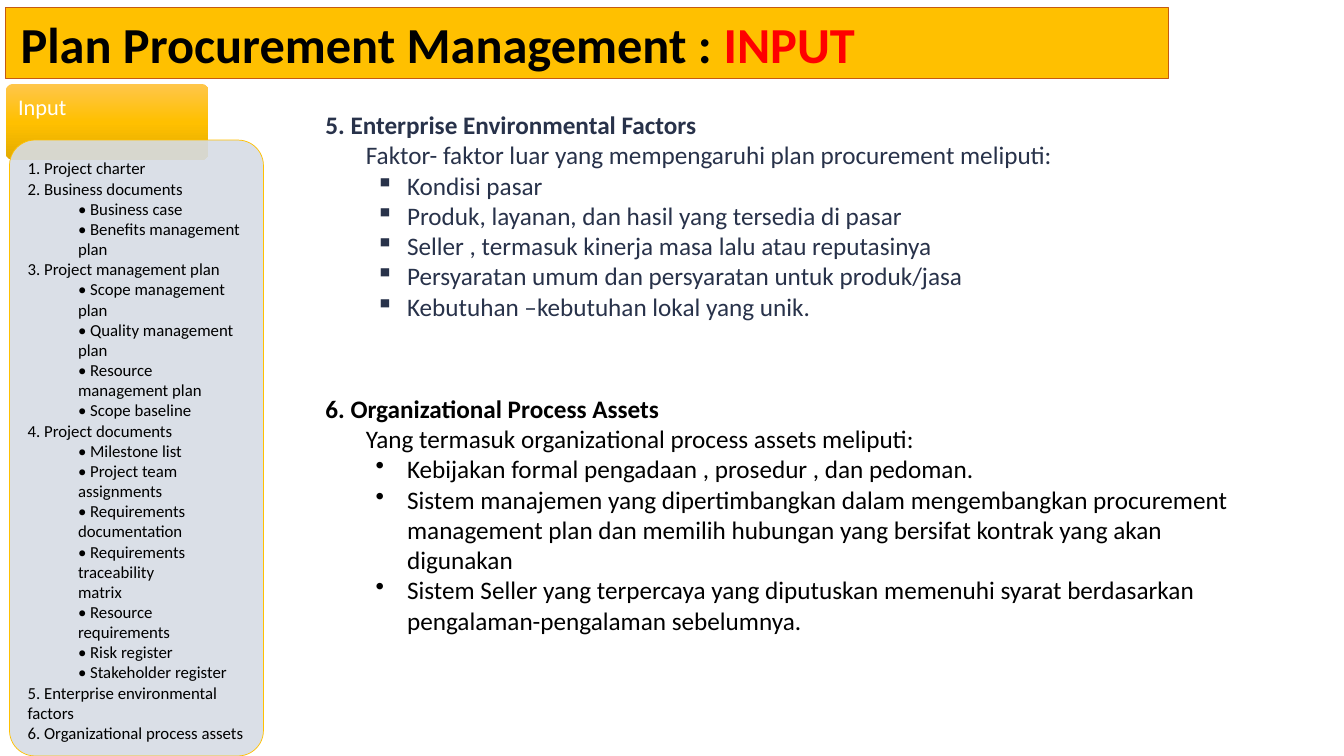
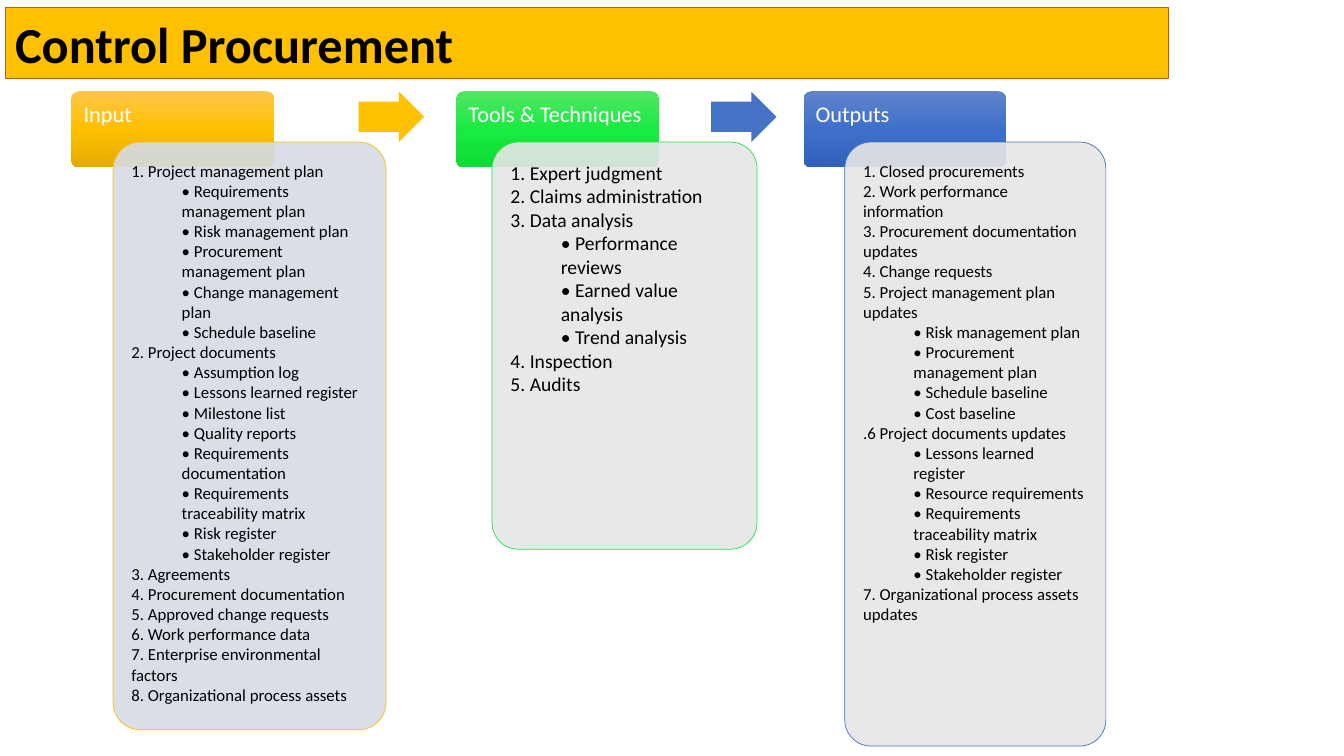
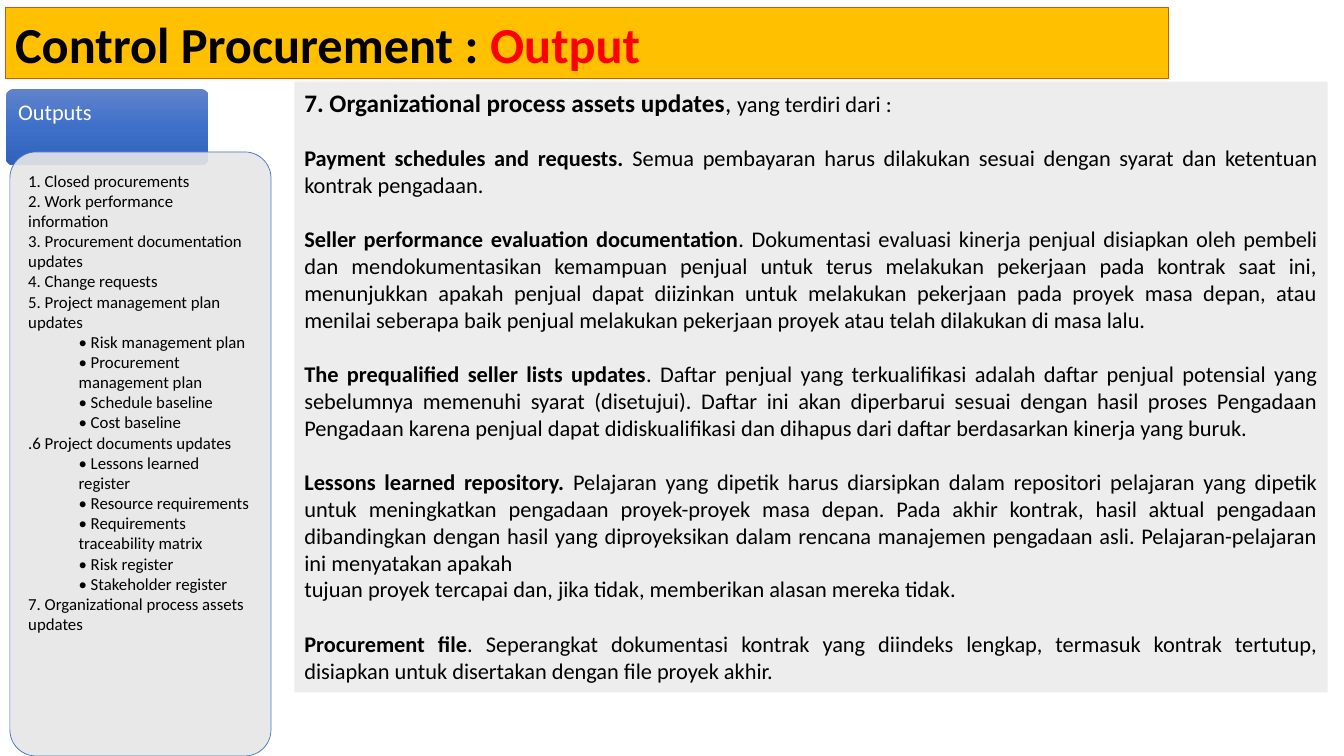
"""Builds three slides on planning and controlling procurement."""
import copy

import pptx
import pptx.dml.color
import pptx.enum.shapes
import pptx.enum.text
import pptx.oxml
import pptx.oxml.ns
import pptx.util

Cm = pptx.util.Cm
Pt = pptx.util.Pt
KIND = pptx.enum.shapes.MSO_SHAPE
ALIGN = pptx.enum.text.PP_ALIGN
ANCHOR = pptx.enum.text.MSO_ANCHOR

FONT = "Calibri"
BLACK, WHITE, RED, NAVY = "000000", "FFFFFF", "FF0000", "28324A"
GOLD, BLUE, RUST, PALE = "FFC000", "4472C4", "C55A11", "EDEDED"
HEAD = (5.11, 1.92)
ARROW = (1.65, 1.27)

STYLES = {
    "Input": {"grad": ("FFC64B", "FFC000", "E3AB00"), "fill": "D6DCE5", "line": GOLD, "size": 12},
    "Tools & Techniques": {"grad": ("51E663", "19EB42", "0CDB34"), "fill": "E7E6E6",
                           "line": "23E148", "size": 14},
    "Outputs": {"grad": ("6183CB", "3E70CA", "3062BB"), "fill": "E7E6E6", "line": BLUE, "size": 12},
}

PLAN_IN = [
    "1. Project charter",
    "2. Business documents",
    "• Business case",
    "• Benefits management plan",
    "3. Project management plan",
    "• Scope management plan",
    "• Quality management plan",
    "• Resource management plan",
    "• Scope baseline",
    "4. Project documents",
    "• Milestone list",
    "• Project team assignments",
    "• Requirements",
    "documentation",
    "• Requirements traceability",
    "matrix",
    "• Resource requirements",
    "• Risk register",
    "• Stakeholder register",
    "5. Enterprise environmental",
    "factors",
    "6. Organizational process assets",
]
CTRL_IN = [
    "1. Project management plan",
    "• Requirements management plan",
    "• Risk management plan",
    "• Procurement management plan",
    "• Change management plan",
    "• Schedule baseline",
    "2. Project documents",
    "• Assumption log",
    "• Lessons learned register",
    "• Milestone list",
    "• Quality reports",
    "• Requirements",
    "documentation",
    "• Requirements traceability matrix",
    "• Risk register",
    "• Stakeholder register",
    "3. Agreements",
    "4. Procurement documentation",
    "5. Approved change requests",
    "6. Work performance data",
    "7. Enterprise environmental",
    "factors",
    "8. Organizational process assets",
]
TOOLS = [
    "1. Expert judgment",
    "2. Claims administration",
    "3. Data analysis",
    "• Performance reviews",
    "• Earned value analysis",
    "• Trend analysis",
    "4. Inspection",
    "5. Audits",
]
CTRL_OUT = [
    "1. Closed procurements",
    "2. Work performance information",
    "3. Procurement documentation",
    "updates",
    "4. Change requests",
    "5. Project management plan",
    "updates",
    "• Risk management plan",
    "• Procurement management plan",
    "• Schedule baseline",
    "• Cost baseline",
    ".6 Project documents updates",
    "• Lessons learned register",
    "• Resource requirements",
    "• Requirements traceability matrix",
    "• Risk register",
    "• Stakeholder register",
    "7. Organizational process assets",
    "updates",
]

TOPICS = [
    {"box": (7.95, 2.51, 24.92, 6.71), "pad": 0.25, "color": NAVY, "mark": "▪",
     "head": "5. Enterprise Environmental Factors",
     "lead": "Faktor- faktor luar yang mempengaruhi plan procurement meliputi:",
     "items": [
         "Kondisi pasar",
         "Produk, layanan, dan hasil yang tersedia di pasar",
         "Seller , termasuk kinerja masa lalu atau reputasinya",
         "Persyaratan umum dan persyaratan untuk produk/jasa",
         "Kebutuhan –kebutuhan lokal yang unik.",
     ]},
    {"box": (7.95, 9.78, 24.26, 6.4), "pad": 0.13, "color": BLACK, "mark": "•",
     "head": "6. Organizational Process Assets",
     "lead": "Yang termasuk organizational process assets meliputi:",
     "items": [
         "Kebijakan formal pengadaan , prosedur , dan pedoman.",
         "Sistem manajemen yang dipertimbangkan dalam mengembangkan procurement management plan "
         "dan memilih hubungan yang bersifat kontrak yang akan digunakan",
         "Sistem Seller yang terpercaya yang diputuskan memenuhi syarat berdasarkan "
         "pengalaman-pengalaman sebelumnya.",
     ]},
]

UPDATES = [
    ("Payment schedules and requests. ",
     "Semua pembayaran harus dilakukan sesuai dengan syarat dan ketentuan kontrak pengadaan."),
    ("Seller performance evaluation documentation",
     ". Dokumentasi evaluasi kinerja penjual disiapkan oleh pembeli dan mendokumentasikan "
     "kemampuan penjual untuk terus melakukan pekerjaan pada kontrak saat ini, menunjukkan "
     "apakah penjual dapat diizinkan untuk melakukan pekerjaan pada proyek masa depan, atau "
     "menilai seberapa baik penjual melakukan pekerjaan proyek atau telah dilakukan di masa lalu."),
    ("The prequalified seller lists updates",
     ". Daftar penjual yang terkualifikasi adalah daftar penjual potensial yang sebelumnya "
     "memenuhi syarat (disetujui). Daftar ini akan diperbarui sesuai dengan hasil proses "
     "Pengadaan Pengadaan karena penjual dapat didiskualifikasi dan dihapus dari daftar "
     "berdasarkan kinerja yang buruk."),
    ("Lessons learned repository. ",
     "Pelajaran yang dipetik harus diarsipkan dalam repositori pelajaran yang dipetik untuk "
     "meningkatkan pengadaan proyek-proyek masa depan. Pada akhir kontrak, hasil aktual "
     "pengadaan dibandingkan dengan hasil yang diproyeksikan dalam rencana manajemen pengadaan "
     "asli. Pelajaran-pelajaran ini menyatakan apakah"),
    ("", "tujuan proyek tercapai dan, jika tidak, memberikan alasan mereka tidak."),
    ("Procurement file",
     ". Seperangkat dokumentasi kontrak yang diindeks lengkap, termasuk kontrak tertutup, "
     "disiapkan untuk disertakan dengan file proyek akhir."),
]

SLIDES = [
    {"title": "Plan Procurement Management : ", "part": "INPUT", "pad": 0.37,
     "stacks": [("Input", (0.15, 2.11), (0.24, 3.53, 6.4, 15.52), PLAN_IN)]},
    {"title": "Control Procurement", "part": "", "pad": 0.23,
     "stacks": [("Input", (1.8, 2.3), (2.85, 3.58, 6.88, 14.81), CTRL_IN),
                ("Tools & Techniques", (11.5, 2.3), (12.4, 3.58, 6.68, 10.26), TOOLS),
                ("Outputs", (20.25, 2.3), (21.29, 3.58, 6.58, 15.22), CTRL_OUT)]},
    {"title": "Control Procurement : ", "part": "Output", "pad": 0.23,
     "stacks": [("Outputs", (0.15, 2.24), (0.25, 3.83, 6.58, 15.22), CTRL_OUT)]},
]
ARROWS = [(9.04, 2.31, GOLD), (17.92, 2.31, BLUE)]


def rgb(code):
    return pptx.dml.color.RGBColor.from_string(code)


def shape(slide, kind, box, fill=None, line=None, width=0.5):
    item = slide.shapes.add_shape(kind, *map(Cm, box))
    item.shadow.inherit = False
    if fill:
        item.fill.solid()
        item.fill.fore_color.rgb = rgb(fill)
    if line:
        item.line.color.rgb = rgb(line)
        item.line.width = Pt(width)
    else:
        item.line.fill.background()
    return item


def frame(item, left, top, right=None, anchor=ANCHOR.TOP):
    text = item.text_frame
    text.word_wrap = True
    text.vertical_anchor = anchor
    text.margin_left = Cm(left)
    text.margin_right = Cm(left if right is None else right)
    text.margin_top = text.margin_bottom = Cm(top)
    return text


def write(text, runs, align=ALIGN.LEFT):
    """Adds one paragraph of (words, size, colour, bold) runs."""
    para = text.paragraphs[0]
    if para.runs:
        para = text.add_paragraph()
    para.alignment = align
    for words, size, color, bold in runs:
        if words:
            run = para.add_run()
            run.text = words
            run.font.name = FONT
            run.font.size = Pt(size)
            run.font.color.rgb = rgb(color)
            run.font.bold = bold
    return para


def indent(para, left, hang=0, mark=None):
    para.level = 1
    props = para._p.get_or_add_pPr()
    props.set("marL", str(Cm(left)))
    props.set("indent", str(Cm(-hang)))
    if mark:
        bullet = props.makeelement(pptx.oxml.ns.qn("a:buChar"), {"char": mark})
        props.append(bullet)


def shade(item, colors):
    fill = item.fill
    fill.gradient()
    fill.gradient_angle = 270
    stops = item.element.spPr.find(".//" + pptx.oxml.ns.qn("a:gsLst"))
    stops.insert(1, copy.deepcopy(stops[0]))
    for stop, color, place in zip(fill.gradient_stops, colors, (0, 0.5, 1)):
        stop.color.rgb = rgb(color)
        stop.position = place


def fade(item, share):
    color = item.element.spPr.find(".//" + pptx.oxml.ns.qn("a:srgbClr"))
    color.append(color.makeelement(pptx.oxml.ns.qn("a:alpha"), {"val": str(share * 1000)}))


def banner(slide, title, part, pad):
    bar = shape(slide, KIND.RECTANGLE, (0.15, 0.2, 29.29, 1.78), GOLD, RUST, 0.75)
    text = frame(bar, pad, 0.13, anchor=ANCHOR.MIDDLE)
    write(text, [(title, 36, BLACK, True), (part, 36, RED, True)])


def stack(slide, name, spot, box, items):
    style = STYLES[name]
    head = shape(slide, KIND.ROUNDED_RECTANGLE, spot + HEAD)
    head.adjustments[0] = 0.1
    shade(head, style["grad"])
    para = write(frame(head, 0.25, 0.25, 0.2), [(name, 16, WHITE, False)])
    para.line_spacing = 0.9

    panel = shape(slide, KIND.ROUNDED_RECTANGLE, box, style["fill"], style["line"])
    panel.adjustments[0] = 0.1
    fade(panel, 90)
    pad = round(0.46 - 0.029 * box[2], 2)
    text = frame(panel, pad, pad)
    deep = False
    for item in items:
        para = write(text, [(item, style["size"], BLACK, False)])
        if not item[0].islower():
            deep = item.startswith("•")
        if deep:
            indent(para, 1.27)


def topic(slide, data):
    box = slide.shapes.add_textbox(*map(Cm, data["box"]))
    text = frame(box, 0.25, data["pad"])
    color = data["color"]
    write(text, [(data["head"], 18, color, True)])
    indent(write(text, [(data["lead"], 18, color, False)]), 1.02)
    for item in data["items"]:
        indent(write(text, [(item, 18, color, False)]), 2.06, 0.79, data["mark"])


def details(slide):
    box = shape(slide, KIND.RECTANGLE, (7.42, 2.06, 26.04, 15.39), PALE)
    text = frame(box, 0.25, 0.13)
    write(text, [("7. Organizational process assets updates", 18, BLACK, True),
                 (", ", 18, BLACK, False), ("yang terdiri dari :", 16, BLACK, False)])
    for term, words in UPDATES:
        para = write(text, [(term, 16, BLACK, True), (words, 16, BLACK, False)], ALIGN.JUSTIFY)
        if term:
            para.space_before = Pt(19.5)


def main():
    deck = pptx.Presentation()
    deck.slide_width, deck.slide_height = Cm(33.87), Cm(19.05)
    pages = []
    for data in SLIDES:
        slide = deck.slides.add_slide(deck.slide_layouts[6])
        banner(slide, data["title"], data["part"], data["pad"])
        for part in data["stacks"]:
            stack(slide, *part)
        pages.append(slide)
    plan, flow, result = pages
    for data in TOPICS:
        topic(plan, data)
    for left, top, color in ARROWS:
        arrow = shape(flow, KIND.RIGHT_ARROW, (left, top) + ARROW, color)
        arrow.adjustments[0] = 0.6
        arrow.adjustments[1] = 0.5
    details(result)
    deck.save("out.pptx")


if __name__ == "__main__":
    main()
